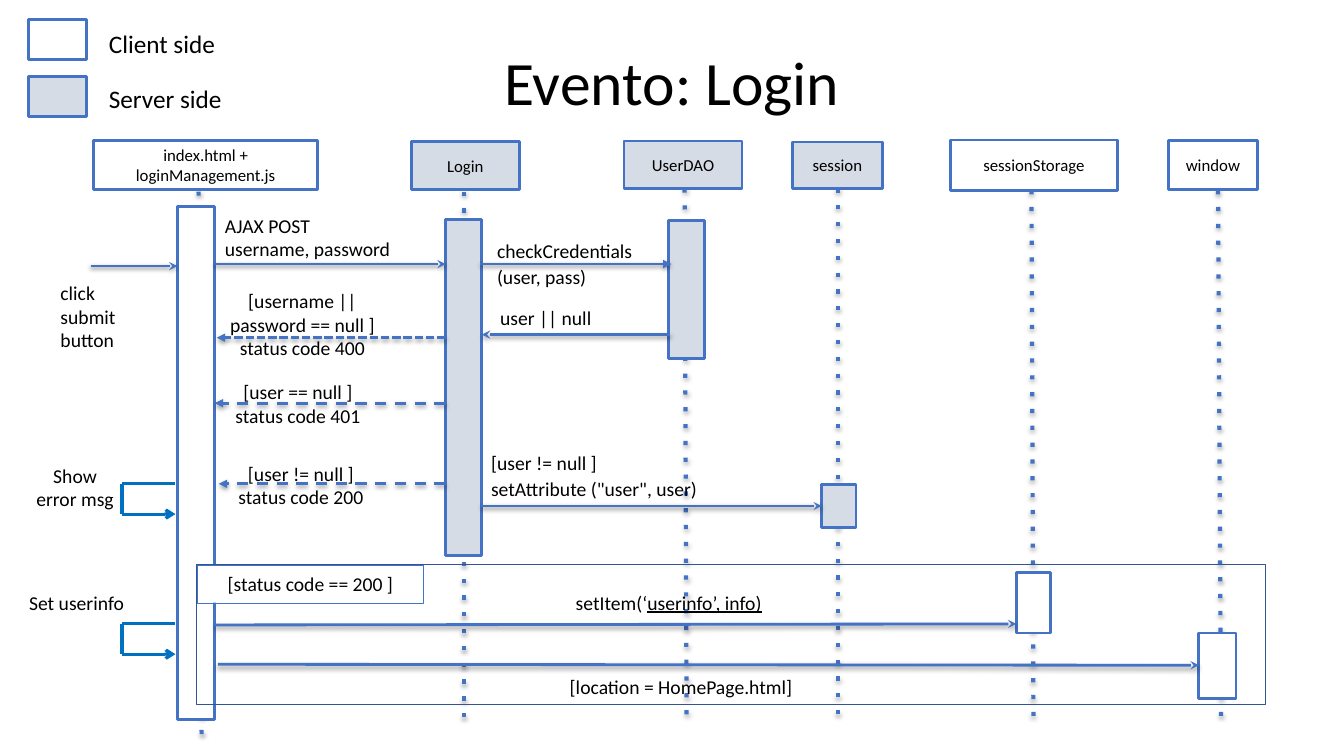
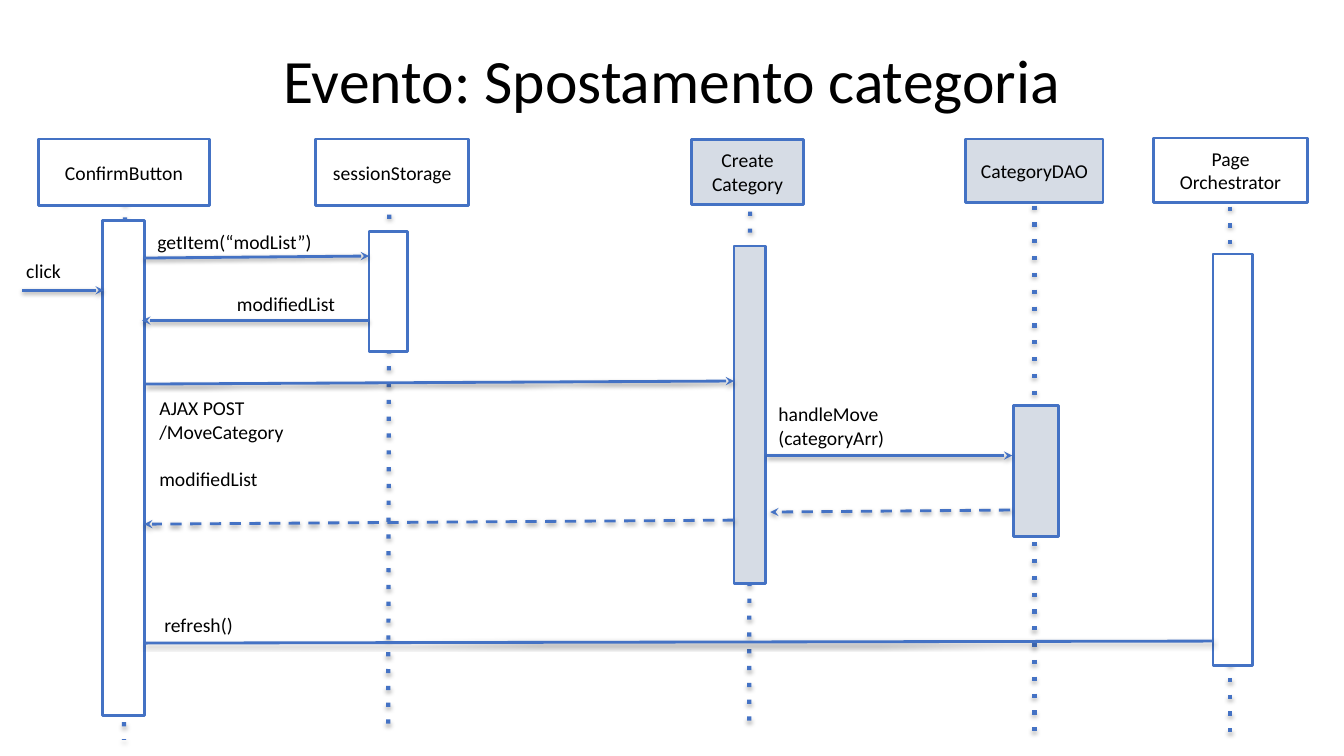
from dataclasses import dataclass

from lxml import etree
from pptx import Presentation
from pptx.dml.color import RGBColor
from pptx.enum.shapes import MSO_CONNECTOR, MSO_SHAPE
from pptx.enum.text import MSO_ANCHOR, PP_ALIGN
from pptx.oxml.ns import qn
from pptx.util import Emu, Pt

RECTANGLE = MSO_SHAPE.RECTANGLE
STRAIGHT = MSO_CONNECTOR.STRAIGHT
LEFT, CENTER = PP_ALIGN.LEFT, PP_ALIGN.CENTER
TOP, MIDDLE = MSO_ANCHOR.TOP, MSO_ANCHOR.MIDDLE
EMU_PER_PX = 9144  # 100 px to the inch


@dataclass(frozen=True)
class Theme:
    font: str = "Calibri"
    text: str = "000000"
    client: str = "FFFFFF"
    server: str = "D6DCE5"
    outline: str = "4472C4"
    frame: str = "325491"
    self_call: str = "0070C0"
    title_size: int = 44
    legend_size: int = 18
    note_size: int = 14
    small_size: int = 12
    line: float = 2
    lifeline: float = 3


@dataclass(frozen=True)
class Participant:
    name: str
    header: tuple
    lifeline: tuple
    bar: tuple
    fill: str


THEME = Theme()
CLIENT, SERVER = THEME.client, THEME.server


def px(value):
    return Emu(value * EMU_PER_PX)


def color(value):
    return RGBColor.from_string(value)


def add_run(paragraph, text, size, underline=None):
    run = paragraph.add_run()
    run.text = text
    formats = {"name": THEME.font, "size": Pt(size), "underline": underline}
    for name, value in formats.items():
        setattr(run.font, name, value)
    run.font.color.rgb = color(THEME.text)


def write(shape, text, size, align=LEFT, anchor=TOP, **spacing):
    """Fill a shape with one paragraph a line; spacing holds paragraph attributes."""
    frame = shape.text_frame
    formats = {
        "word_wrap": True, "vertical_anchor": anchor,
        "margin_left": px(12), "margin_right": px(12),
        "margin_top": px(6), "margin_bottom": px(6),
    }
    for name, value in formats.items():
        setattr(frame, name, value)
    for index, line in enumerate(text.split("\n")):
        paragraph = frame.add_paragraph() if index else frame.paragraphs[0]
        for name, value in {"alignment": align, **spacing}.items():
            setattr(paragraph, name, value)
        add_run(paragraph, line, size)
    return frame


def add_note(slide, box, text, align=LEFT, size=THEME.note_size, **spacing):
    shape = slide.shapes.add_textbox(*map(px, box))
    return write(shape, text, size, align, **spacing)


def add_title(slide, text, top):
    shape = slide.shapes.add_textbox(*map(px, (179, top, 975, 110)))
    write(shape, text, THEME.title_size, CENTER, MIDDLE, line_spacing=0.9)


def add_box(slide, box, fill=None, outline=THEME.outline, width=THEME.line):
    shape = slide.shapes.add_shape(RECTANGLE, *map(px, box))
    shape.shadow.inherit = False
    if fill:
        shape.fill.solid()
        shape.fill.fore_color.rgb = color(fill)
    else:
        shape.fill.background()
    shape.line.color.rgb = color(outline)
    shape.line.width = Pt(width)
    return shape


def add_line(slide, points, outline=THEME.outline, width=THEME.line,
             dash=None, arrow=None, shadow=None):
    """Draw a line; shadow is (distance in EMU, opacity in percent)."""
    connector = slide.shapes.add_connector(STRAIGHT, *map(px, points))
    connector.line.color.rgb = color(outline)
    connector.line.width = Pt(width)
    properties = connector.element.spPr
    line = properties.find(qn("a:ln"))
    if dash:
        etree.SubElement(line, qn("a:prstDash"), val=dash)
    if arrow:
        etree.SubElement(line, qn("a:tailEnd"), type=arrow)
    effects = etree.SubElement(properties, qn("a:effectLst"))
    if shadow:
        distance, opacity = shadow
        outer = etree.SubElement(
            effects, qn("a:outerShdw"), blurRad="40000", dist=str(distance),
            dir="5400000", rotWithShape="0")
        black = etree.SubElement(outer, qn("a:srgbClr"), val="000000")
        etree.SubElement(black, qn("a:alpha"), val=str(opacity * 1000))


def add_message(slide, points, dash=None, arrow="stealth"):
    add_line(slide, points, dash=dash, arrow=arrow, shadow=(20000, 38))


def add_participants(slide, participants, size):
    for participant in participants:
        add_line(slide, participant.lifeline, width=THEME.lifeline,
                 dash="dot", shadow=(23000, 35))
        add_box(slide, participant.bar, participant.fill)
        header = add_box(slide, participant.header, participant.fill)
        write(header, participant.name, size, CENTER, MIDDLE)


def add_self_call(slide, top):
    near, far, bottom = 174, 121, top + 30
    segments = [
        ((near, top, far, top), None),
        ((far, top, far, bottom), None),
        ((far, bottom, near, bottom), "arrow"),
    ]
    for points, arrow in segments:
        add_line(slide, points, THEME.self_call, 2.25, arrow=arrow)


def add_legend(slide):
    for index, (text, fill) in enumerate((("Client side", CLIENT), ("Server side", SERVER))):
        add_box(slide, (28, 19 + 57 * index, 58, 40), fill)
        add_note(slide, (96, 22 + 55 * index, 160, 40), text, size=THEME.legend_size)


def build_login(slide):
    add_title(slide, "Evento: Login", 30)
    add_legend(slide)
    add_participants(slide, [
        Participant("index.html + loginManagement.js", (93, 139, 222, 49),
                    (197, 190, 200, 734), (176, 205, 37, 509), CLIENT),
        Participant("Login", (408, 140, 107, 48),
                    (460, 190, 460, 713), (442, 218, 36, 333), SERVER),
        Participant("UserDAO", (619, 140, 117, 47),
                    (679, 187, 681, 720), (663, 219, 36, 137), SERVER),
        Participant("session", (786, 141, 89, 46),
                    (831, 187, 831, 720), (815, 481, 34, 42), SERVER),
        Participant("sessionStorage", (943, 139, 165, 50),
                    (1023, 172, 1025, 720), (1008, 568, 34, 60), CLIENT),
        Participant("window", (1159, 139, 88, 49),
                    (1208, 172, 1211, 720), (1189, 628, 37, 65), CLIENT),
    ], THEME.small_size)

    for points in [
        (90, 264, 176, 264),
        (213, 262, 442, 262),
        (665, 332, 478, 332),
        (477, 502, 815, 502),
        (213, 620, 1008, 619),
        (216, 659, 1189, 660),
    ]:
        add_message(slide, points)
    add_message(slide, (476, 262, 666, 262), arrow="triangle")
    for points, dash in [
        ((442, 335, 215, 335), "sysDash"),
        ((442, 400, 213, 400), "dash"),
        ((442, 480, 217, 480), "dash"),
    ]:
        add_message(slide, points, dash, "triangle")
    for top in (480, 619):
        add_self_call(slide, top)

    for box, text, align in [
        ((48, 273, 86, 97), "click\nsubmit\nbutton", LEFT),
        ((211, 206, 189, 61), "AJAX POST username, password", LEFT),
        ((484, 298, 135, 40), "user || null", LEFT),
        ((215, 281, 170, 59), "[username ||\npassword == null ]\nstatus code 400", CENTER),
        ((214, 371, 163, 51), "[user == null ]\nstatus code 401", CENTER),
        ((215, 452, 167, 71), "[user != null ]\nstatus code 200", CENTER),
        ((23, 454, 103, 61), "Show error msg", CENTER),
        ((16, 580, 120, 39), "Set userinfo", CENTER),
        ((545, 664, 261, 33), "[location = HomePage.html]", CENTER),
    ]:
        add_note(slide, box, text, align)
    for box, text in [
        ((481, 231, 190, 53), "checkCredentials\n(user, pass)"),
        ((475, 441, 369, 63), "[user != null ]\nsetAttribute (\"user\", user)"),
    ]:
        add_note(slide, box, text, space_after=Pt(2))
    set_item = add_note(slide, (559, 580, 230, 34), "setItem(‘")
    add_run(set_item.paragraphs[0], "userinfo’, info)", THEME.note_size, underline=True)

    condition = add_box(slide, (196, 561, 224, 37), CLIENT, width=0.25)
    write(condition, "[status code == 200 ]", THEME.note_size, CENTER)
    add_box(slide, (195, 560, 1060, 139), outline=THEME.frame, width=1)


def build_move_category(slide):
    add_title(slide, "Evento: Spostamento categoria", 28)
    add_participants(slide, [
        Participant("ConfirmButton", (38, 138, 170, 66),
                    (124, 199, 123, 734), (102, 219, 41, 491), CLIENT),
        Participant("sessionStorage", (313, 138, 152, 66),
                    (386, 213, 385, 728), (366, 230, 38, 119), CLIENT),
        Participant("Create\nCategory", (686, 138, 111, 65),
                    (744, 210, 743, 725), (728, 244, 31, 335), SERVER),
        Participant("CategoryDAO", (958, 138, 136, 63),
                    (1026, 204, 1026, 732), (1005, 402, 45, 130), SERVER),
        Participant("Page\nOrchestrator", (1144, 137, 153, 64),
                    (1220, 205, 1220, 736), (1203, 252, 39, 408), CLIENT),
    ], THEME.note_size)

    for points in [
        (22, 288, 103, 288),
        (143, 256, 366, 254),
        (366, 318, 141, 318),
        (145, 381, 728, 378),
        (761, 452, 1004, 452),
    ]:
        add_message(slide, points)
    for points in [(1002, 506, 764, 508), (728, 516, 143, 520)]:
        add_message(slide, points, "dash")
    add_message(slide, (144, 638, 1203, 636), arrow=None)

    for box, text in [
        ((14, 251, 82, 47), "click"),
        ((144, 222, 185, 32), "getItem(“modList”)"),
        ((223, 284, 185, 32), "modifiedList"),
        ((760, 393, 185, 32), "handleMove\n(categoryArr)"),
        ((151, 602, 100, 49), "refresh()"),
    ]:
        add_note(slide, box, text)
    request = add_note(slide, (146, 387, 178, 89), "AJAX POST\n/MoveCategory\nmodifiedList")
    request.paragraphs[-1].space_before = Pt(17)


def main():
    presentation = Presentation()
    presentation.slide_width, presentation.slide_height = px(1333), px(750)
    blank = presentation.slide_layouts[6]
    for build in (build_login, build_move_category):
        build(presentation.slides.add_slide(blank))
    presentation.save("out.pptx")


if __name__ == "__main__":
    main()
